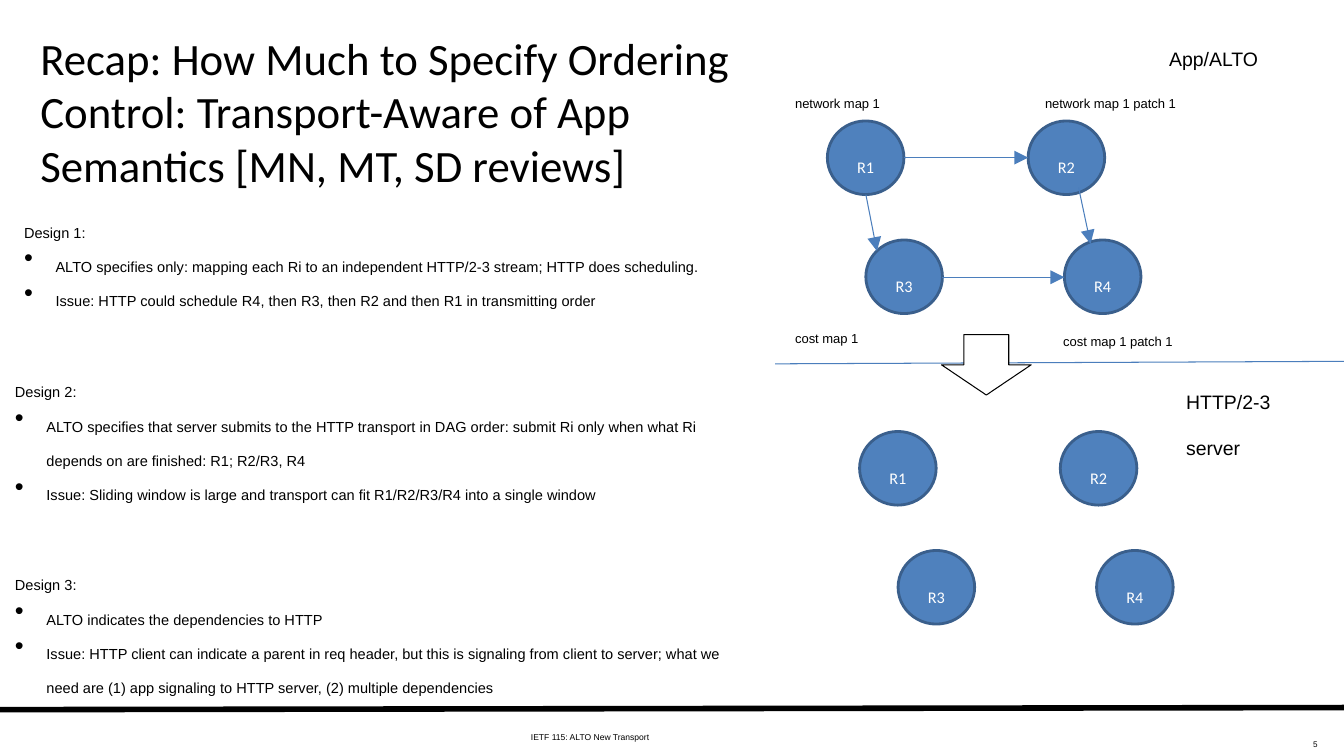
import pptx
import pptx.util
import pptx.dml.color
import pptx.enum.shapes
import pptx.enum.text
import pptx.oxml
import pptx.oxml.ns
from dataclasses import dataclass

Pt = pptx.util.Pt
SHAPES = pptx.enum.shapes.MSO_SHAPE
ALIGN = pptx.enum.text.PP_ALIGN
ANCHOR = pptx.enum.text.MSO_ANCHOR
FIT = pptx.enum.text.MSO_AUTO_SIZE
NS = pptx.oxml.ns.nsdecls("a")


@dataclass(frozen=True)
class Theme:
    ink: str = "000000"
    paper: str = "FFFFFF"
    node: str = "4F81BD"
    node_edge: str = "3A5F8C"
    link: str = "4B7EBC"
    body_font: str = "Arial"
    title_font: str = "Calibri"
    title: float = 32
    side: float = 24
    node_label: float = 20
    body: float = 18
    map_label: float = 16
    footer: float = 10.5
    page: float = 10
    bullet_indent: float = 22.5


THEME = Theme()
NODE_SIZE = (54.7, 52.6)
NODES = {"R1": (591, 86.4), "R2": (734.4, 86.4), "R3": (618.5, 171.4), "R4": (760.3, 171.4)}
SERVER_OFFSET = (23, 221.8)
DEPENDENCIES = [
    (645.8, 112.6, 734.4, 112.6),
    (618.5, 139, 626.4, 179.3),
    (673.2, 198, 760.3, 198),
    (770.4, 133.9, 779, 174.2),
]
MAP_LABELS = [
    ("network map 1", 560.9, 54, 120.2),
    ("network map 1 patch 1", 739.4, 54, 177.8),
    ("cost map 1", 560.9, 221.8, 93.6),
    ("cost map 1 patch 1", 752.4, 223.9, 151.2),
]
DESIGNS = [
    (10.1, 144, 522.7, 116.6, [
        "Design 1:",
        "ALTO specifies only: mapping each Ri to an independent HTTP/2-3 stream; HTTP does scheduling.",
        "Issue: HTTP could schedule R4, then R3, then R2 and then R1 in transmitting order"]),
    (3.6, 258, 535.7, 138.2, [
        "Design 2:",
        "ALTO specifies that server submits to the HTTP transport in DAG order: "
        "submit Ri only when what Ri depends on are finished: R1; R2/R3, R4",
        "Issue: Sliding window is large and transport can fit R1/R2/R3/R4 into a single window"]),
    (3.6, 396, 535.7, 116.6, [
        "Design 3:",
        "ALTO indicates the dependencies to HTTP",
        "Issue: HTTP client can indicate a parent in req header, but this is signaling from client "
        "to server; what we need are (1) app signaling to HTTP server, (2) multiple dependencies"]),
]


def rgb(value):
    return pptx.dml.color.RGBColor.from_string(value)


def add_bullet(paragraph):
    properties = paragraph._p.get_or_add_pPr()
    properties.set("marL", str(Pt(THEME.bullet_indent)))
    properties.set("indent", str(-Pt(THEME.bullet_indent)))
    properties.append(pptx.oxml.parse_xml(f'<a:buFont {NS} typeface="Arial"/>'))
    properties.append(pptx.oxml.parse_xml(f'<a:buChar {NS} char="•"/>'))


def add_text_shadow(run):
    run._r.get_or_add_rPr().insert(1, pptx.oxml.parse_xml(
        f'<a:effectLst {NS}><a:outerShdw blurRad="38100" dist="38100" dir="2700000" algn="tl">'
        '<a:srgbClr val="000000"><a:alpha val="43000"/></a:srgbClr></a:outerShdw></a:effectLst>'))


def write(frame, text, size, font=THEME.body_font, color=THEME.ink, align=ALIGN.LEFT,
          anchor=ANCHOR.TOP, wrap=True, fit=FIT.NONE, lowered=True, shadow=False):
    frame.word_wrap = wrap
    frame.auto_size = fit
    frame.vertical_anchor = anchor
    lines = [text] if isinstance(text, str) else text
    for index, line in enumerate(lines):
        paragraph = frame.add_paragraph() if index else frame.paragraphs[0]
        paragraph.text = line
        paragraph.alignment = align
        if index:
            add_bullet(paragraph)
        for run in paragraph.runs:
            run.font.size = Pt(size)
            run.font.name = font
            run.font.color.rgb = rgb(color)
            if lowered:
                run._r.get_or_add_rPr().set("baseline", "-25000")
            if shadow:
                add_text_shadow(run)


def add_label(slide, text, left, top, width, height, size, **style):
    box = slide.shapes.add_textbox(Pt(left), Pt(top), Pt(width), Pt(height))
    write(box.text_frame, text, size, **style)


def add_figure(slide, kind, left, top, width, height, fill, edge, edge_width):
    figure = slide.shapes.add_shape(kind, Pt(left), Pt(top), Pt(width), Pt(height))
    figure.shadow.inherit = False
    figure.fill.solid()
    figure.fill.fore_color.rgb = rgb(fill)
    figure.line.color.rgb = rgb(edge)
    figure.line.width = Pt(edge_width)
    return figure


def add_node(slide, name, left, top):
    node = add_figure(slide, SHAPES.OVAL, left, top, *NODE_SIZE, THEME.node, THEME.node_edge, 2)
    write(node.text_frame, name, THEME.node_label, font=THEME.title_font, color=THEME.paper,
          align=ALIGN.CENTER, anchor=ANCHOR.MIDDLE)


def add_line(slide, ends, color=THEME.link, width=0.75, arrow=False):
    line = slide.shapes.add_connector(pptx.enum.shapes.MSO_CONNECTOR.STRAIGHT, *map(Pt, ends))
    line.line.color.rgb = rgb(color)
    line.line.width = Pt(width)
    if arrow:
        line.line._get_or_add_ln().append(
            pptx.oxml.parse_xml(f'<a:tailEnd {NS} type="triangle" w="lg" len="lg"/>'))
    line._element.spPr.append(pptx.oxml.parse_xml(f"<a:effectLst {NS}/>"))


def add_title(slide, text):
    title = slide.shapes.title
    title.left, title.top, title.width, title.height = map(Pt, (21.6, 13.7, 514.8, 131))
    write(title.text_frame, text, THEME.title, font=THEME.title_font, anchor=ANCHOR.MIDDLE,
          lowered=False, shadow=True)


def main():
    deck = pptx.Presentation()
    deck.slide_width, deck.slide_height = Pt(960), Pt(540)
    slide = deck.slides.add_slide(deck.slide_layouts[5])
    single = dict(wrap=False, fit=FIT.SHAPE_TO_FIT_TEXT)

    add_title(slide, "Recap: How Much to Specify Ordering Control: "
                     "Transport-Aware of App Semantics [MN, MT, SD reviews]")
    add_line(slide, (0, 506.9, 960, 505.4), color=THEME.ink, width=4)
    add_label(slide, "IETF 115: ALTO New Transport", 372.2, 511.9, 167.8, 20.2,
              THEME.footer, **single)
    add_label(slide, "5", 748, 517.7, 200.2, 22.3, THEME.page, align=ALIGN.RIGHT)

    add_line(slide, (553.7, 259.9, 960, 258.1))
    add_label(slide, "App/ALTO", 828, 13.7, 125.3, 36, THEME.side, **single)
    add_label(slide, "HTTP/2-3\vserver", 840.2, 259.2, 119.5, 65.5, THEME.side, **single)

    for left, top, width, height, lines in DESIGNS:
        add_label(slide, lines, left, top, width, height, THEME.body, fit=FIT.SHAPE_TO_FIT_TEXT)
    for text, left, top, width in MAP_LABELS:
        add_label(slide, text, left, top, width, 26.6, THEME.map_label, **single)

    for shift_x, shift_y in ((0, 0), SERVER_OFFSET):
        for name, (left, top) in NODES.items():
            add_node(slide, name, left + shift_x, top + shift_y)
    for ends in DEPENDENCIES:
        add_line(slide, ends, arrow=True)
    add_figure(slide, SHAPES.DOWN_ARROW, 672.5, 239, 64.1, 43.2, THEME.paper, THEME.ink, 0.75)

    deck.save("out.pptx")


main()
